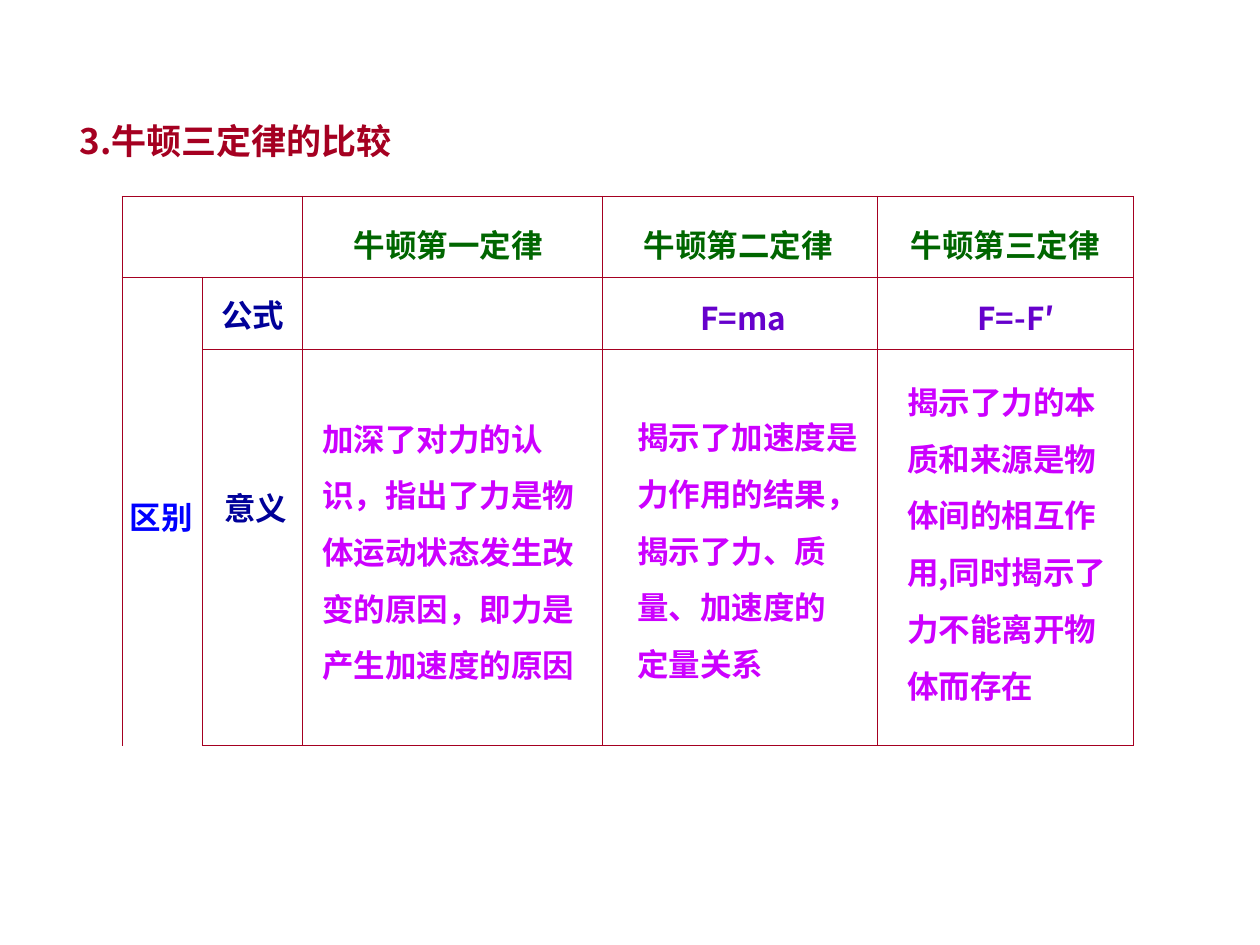
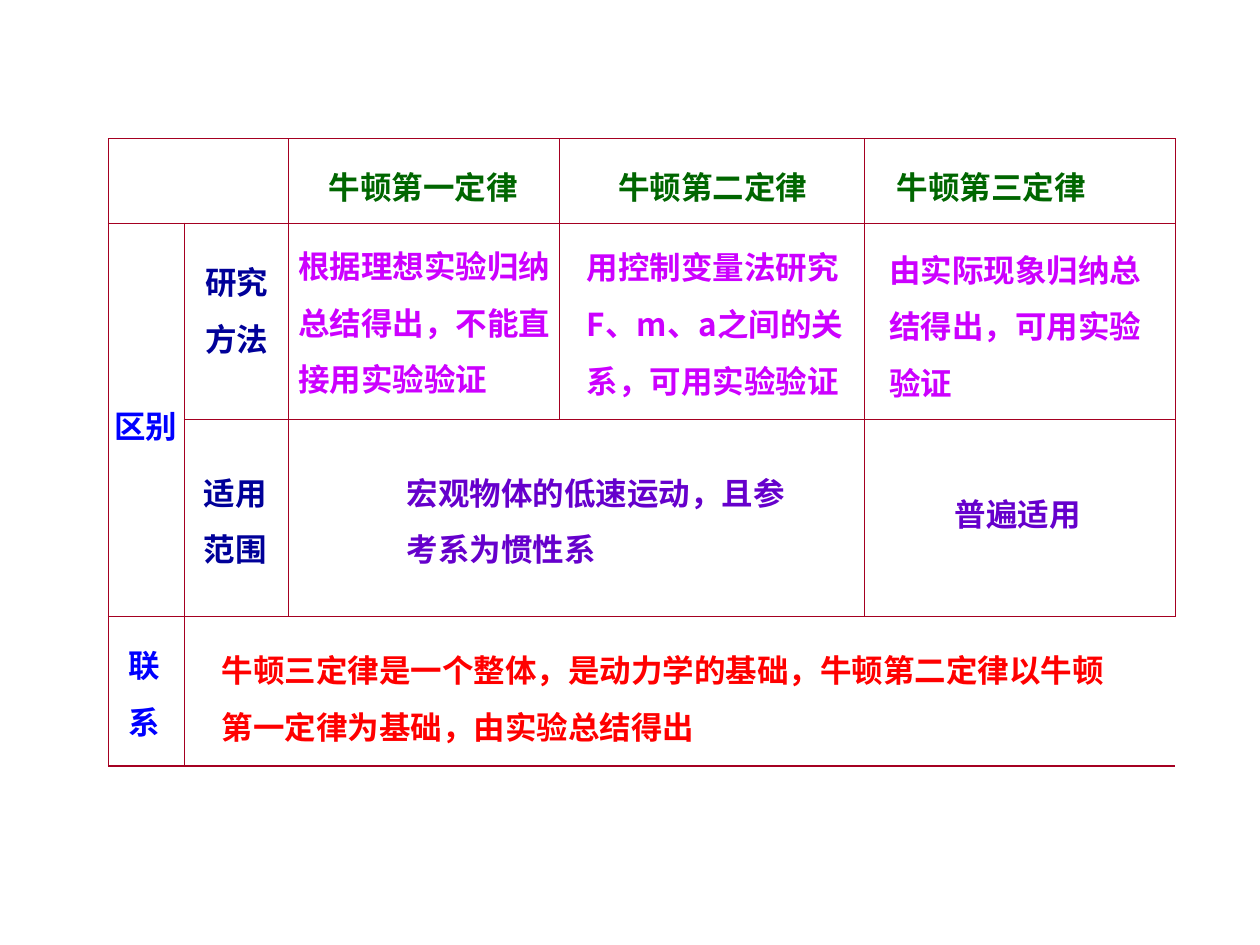
"""Build two slides that compare Newton's three laws of motion."""
from lxml import etree
from pptx import Presentation
from pptx.dml.color import RGBColor
from pptx.enum import text
from pptx.oxml.ns import qn
from pptx.util import Inches, Pt

FONT = "Noto Sans CJK SC"
CRIMSON, GREEN, BLUE, NAVY = "A50021", "006600", "0000FF", "000099"
PURPLE, MAGENTA, RED = "6600CC", "CC00FF", "FF0000"
LAWS = ["牛顿第一定律", "牛顿第二定律", "牛顿第三定律"]
LAW_WIDTHS = [2.34, 2.34, 1.94]
OUTER, INNER = 0.75, 0.45
NO_STYLE = "{2D5ABB26-0587-4C30-8999-92F81FD0307C}"
TITLE_ONLY, BLANK = 5, 6


def color(value):
    return RGBColor.from_string(value)


class Board:
    """Hold the shared style and the slide being filled."""

    def __init__(self):
        self.deck = Presentation()
        self.deck.slide_width, self.deck.slide_height = Inches(10), Inches(7.5)
        self.page = None

    def new_page(self, layout):
        self.page = self.deck.slides.add_slide(self.deck.slide_layouts[layout])

    def fill_text(self, box, lines, tint, size):
        frame = box.text_frame
        frame.word_wrap = True
        frame.auto_size = text.MSO_AUTO_SIZE.SHAPE_TO_FIT_TEXT
        frame.vertical_anchor = text.MSO_ANCHOR.MIDDLE
        for index, line in enumerate(lines):
            para = frame.add_paragraph() if index else frame.paragraphs[0]
            para.alignment = text.PP_ALIGN.LEFT
            para.line_spacing = 1.5
            span = para.add_run()
            span.text = line
            span.font.name, span.font.size, span.font.bold = FONT, Pt(size), True
            span.font.color.rgb = color(tint)
            east = etree.SubElement(span._r.get_or_add_rPr(), qn("a:ea"))
            east.set("typeface", FONT)

    def title(self, line, left, top, width, height):
        box = self.page.shapes.title
        box.left, box.top = Inches(left), Inches(top)
        box.width, box.height = Inches(width), Inches(height)
        self.fill_text(box, [line], CRIMSON, 20)

    def label(self, lines, left, top, width, tint, rows=None):
        height = 0.1 + 0.45 * (rows or len(lines))
        box = self.page.shapes.add_textbox(
            Inches(left), Inches(top), Inches(width), Inches(height))
        self.fill_text(box, lines, tint, 18)

    def law_names(self, lefts, top):
        for law, left, width in zip(LAWS, lefts, LAW_WIDTHS):
            self.label([law], left, top, width, GREEN)

    def border(self, cell, side, weight):
        line = etree.SubElement(cell._tc.get_or_add_tcPr(), qn(f"a:ln{side}"))
        line.set("w", str(Pt(weight)))
        fill = etree.SubElement(line, qn("a:solidFill"))
        etree.SubElement(fill, qn("a:srgbClr")).set("val", CRIMSON)

    def grid(self, left, top, widths, heights, merges):
        row_count, column_count = len(heights), len(widths)
        frame = self.page.shapes.add_table(
            row_count, column_count, Inches(left), Inches(top),
            Inches(sum(widths)), Inches(sum(heights)))
        table = frame.table
        table.first_row = table.horz_banding = False
        table._tbl.tblPr.find(qn("a:tableStyleId")).text = NO_STYLE
        for column, width in zip(table.columns, widths):
            column.width = Inches(width)
        for row, height in zip(table.rows, heights):
            row.height = Inches(height)

        area = {(r, c): (r, c) for r in range(row_count) for c in range(column_count)}
        for first, last in merges:
            table.cell(*first).merge(table.cell(*last))
            for r in range(first[0], last[0] + 1):
                for c in range(first[1], last[1] + 1):
                    area[r, c] = first
        for (r, c), owner in area.items():
            cell = table.cell(r, c)
            neighbours = {"L": (r, c - 1), "R": (r, c + 1),
                          "T": (r - 1, c), "B": (r + 1, c)}
            for side, place in neighbours.items():
                if area.get(place) != owner:
                    self.border(cell, side, INNER if place in area else OUTER)
            cell.fill.background()


def formulas_and_meaning(board):
    board.new_page(TITLE_ONLY)
    board.grid(0.97, 1.56, [0.64, 0.79, 2.38, 2.18, 2.04], [0.64, 0.57, 3.15],
               [((0, 0), (0, 1)), ((1, 0), (2, 0))])
    board.title("3.牛顿三定律的比较", 0.53, 0.73, 3.69, 0.6)
    board.law_names([2.71, 5.01, 7.13], 1.59)
    board.label(["区别"], 0.93, 3.75, 0.84, BLUE)
    board.label(["公式"], 1.66, 2.15, 1.2, NAVY)
    board.label(["F=ma"], 5.46, 2.17, 1.2, PURPLE)
    board.label(["F=-F′"], 7.66, 2.17, 1.2, PURPLE)
    board.label(["意义"], 1.68, 3.68, 1.2, NAVY)
    board.label(["加深了对力的认", "识，指出了力是物", "体运动状态发生改",
                 "变的原因，即力是", "产生加速度的原因"], 2.46, 3.13, 2.68, MAGENTA)
    board.label(["揭示了加速度是", "力作用的结果，", "揭示了力、质",
                 "量、加速度的", "定量关系"], 4.96, 3.12, 2.47, MAGENTA)
    board.label(["揭示了力的本", "质和来源是物", "体间的相互作", "用,同时揭示了",
                 "力不能离开物", "体而存在"], 7.1, 2.84, 2.41, MAGENTA)


def methods_and_scope(board):
    board.new_page(BLANK)
    board.grid(0.86, 1.1, [0.6, 0.83, 2.15, 2.42, 2.47], [0.67, 1.56, 1.56, 1.19],
               [((0, 0), (0, 1)), ((1, 0), (2, 0)),
                ((2, 2), (2, 3)), ((3, 1), (3, 4))])
    board.law_names([2.51, 4.81, 7.02], 1.13)
    board.label(["区别"], 0.81, 3.03, 0.84, BLUE)
    board.label(["研究", "方法"], 1.53, 1.89, 1.2, NAVY)
    board.label(["适用", "范围"], 1.52, 3.56, 1.2, NAVY)
    board.label(["联", "系"], 0.92, 4.93, 0.84, BLUE)
    board.label(["根据理想实验归纳", "总结得出，不能直", "接用实验验证"],
                2.27, 1.76, 2.9, MAGENTA)
    board.label(["用控制变量法研究", "F、m、a之间的关", "系，可用实验验证"],
                4.56, 1.77, 2.83, MAGENTA)
    board.label(["由实际现象归纳总", "结得出，可用实验", "验证"],
                6.96, 1.79, 2.68, MAGENTA)
    board.label(["宏观物体的低速运动，且参考系为惯性系"],
                3.13, 3.56, 3.22, PURPLE, rows=2)
    board.label(["普遍适用"], 7.48, 3.73, 1.84, PURPLE)
    board.label(["牛顿三定律是一个整体，是动力学的基础，牛顿第二定律以牛顿",
                 "第一定律为基础，由实验总结得出"], 1.66, 4.97, 8.02, RED)


def main():
    board = Board()
    formulas_and_meaning(board)
    methods_and_scope(board)
    board.deck.save("out.pptx")


if __name__ == "__main__":
    main()
